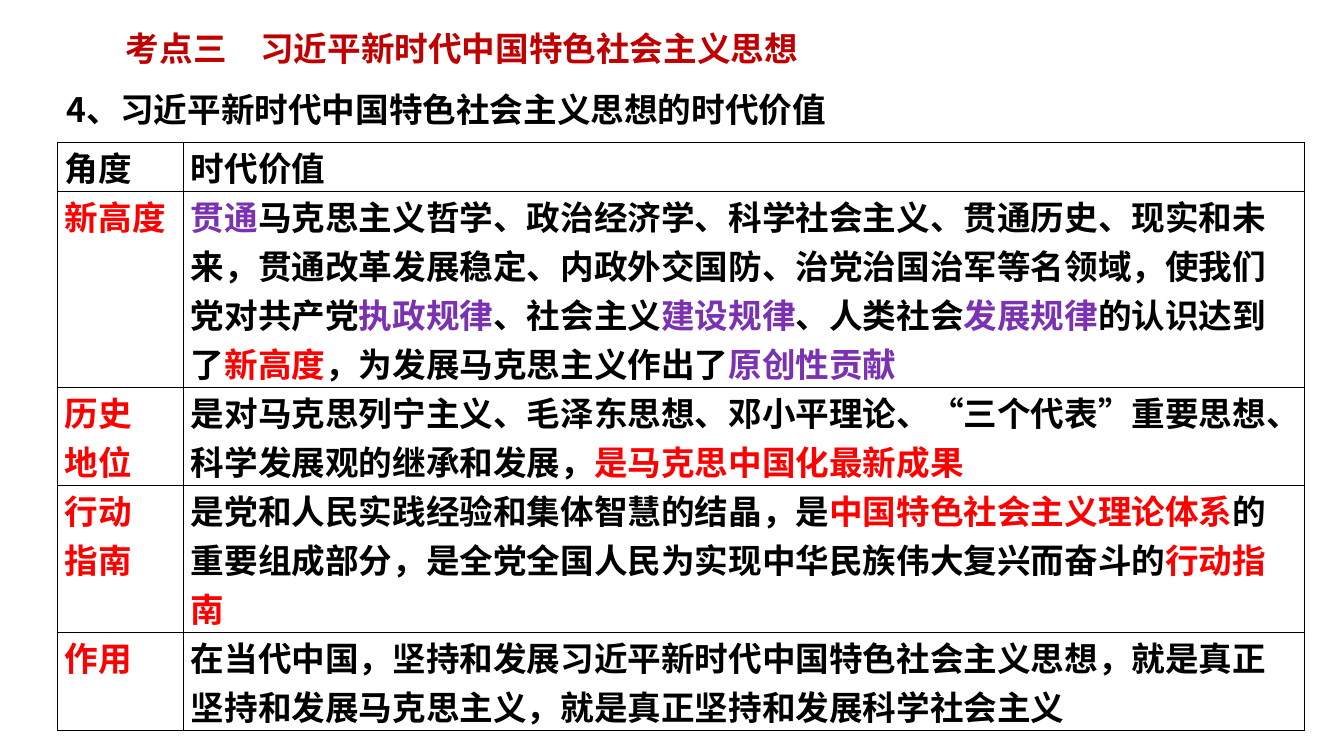
from lxml.etree import SubElement
from pptx import Presentation
from pptx.dml.color import RGBColor
from pptx.enum.lang import MSO_LANGUAGE_ID as Language
from pptx.oxml.ns import qn
from pptx.util import Emu, Pt

CJK_FONT = "Noto Sans CJK SC"
BLACK, RED, PURPLE, DARK_RED, BORDER = "000000", "FF0000", "7B32B2", "C00000", "080000"
LINE_HEIGHT = 49
COLUMN_WIDTHS = [126, 1122]

TITLE = "考点三　习近平新时代中国特色社会主义思想"
SUBTITLE = "4、习近平新时代中国特色社会主义思想的时代价值"

ROWS = [
    (1, ["角度"], BLACK, [("时代价值", BLACK)]),
    (4, ["新高度"], RED, [
        ("贯通", PURPLE),
        ("马克思主义哲学、政治经济学、科学社会主义、贯通历史、现实和未来，"
         "贯通改革发展稳定、内政外交国防、治党治国治军等名领域，使我们党对共产党", BLACK),
        ("执政规律", PURPLE),
        ("、社会主义", BLACK),
        ("建设规律", PURPLE),
        ("、人类社会", BLACK),
        ("发展规律", PURPLE),
        ("的认识达到了", BLACK),
        ("新高度", RED),
        ("，为发展马克思主义作出了", BLACK),
        ("原创性贡献", PURPLE),
    ]),
    (2, ["历史", "地位"], RED, [
        ("是对马克思列宁主义、毛泽东思想、邓小平理论、“三个代表”重要思想、"
         "科学发展观的继承和发展，", BLACK),
        ("是马克思中国化最新成果", RED),
    ]),
    (3, ["行动", "指南"], RED, [
        ("是党和人民实践经验和集体智慧的结晶，是", BLACK),
        ("中国特色社会主义理论体系", RED),
        ("的重要组成部分，是全党全国人民为实现中华民族伟大复兴而奋斗的", BLACK),
        ("行动指南", RED),
    ]),
    (2, ["作用"], RED, [
        ("在当代中国，坚持和发展习近平新时代中国特色社会主义思想，"
         "就是真正坚持和发展马克思主义，就是真正坚持和发展科学社会主义", BLACK),
    ]),
]


def px(length):
    """Convert slide pixels to EMU."""
    return Emu(round(length * 914400 / 100.8))


def color(value):
    """Turn a hex string into a colour."""
    return RGBColor.from_string(value)


def write_paragraph(paragraph, segments, spacing, latin=CJK_FONT):
    """Write bold runs, each with its own colour."""
    paragraph.line_spacing = spacing
    for text, run_color in segments:
        run = paragraph.add_run()
        run.text = text
        font = run.font
        font.size, font.bold, font.name = Pt(24), True, latin
        font.language_id = Language.SIMPLIFIED_CHINESE
        font.color.rgb = color(run_color)
        east_asian = SubElement(run._r.get_or_add_rPr(), qn("a:ea"))
        east_asian.set("typeface", CJK_FONT)


def add_heading(slide, box, text, text_color, latin=CJK_FONT):
    """Place a one-line heading in a box."""
    frame = slide.shapes.add_textbox(*map(px, box)).text_frame
    frame.word_wrap = True
    write_paragraph(frame.paragraphs[0], [(text, text_color)], 1.5, latin)


def add_borders(cell):
    """Draw a thin line on all four sides of a cell."""
    properties = cell._tc.get_or_add_tcPr()
    for side in ("a:lnL", "a:lnR", "a:lnT", "a:lnB"):
        line = SubElement(properties, qn(side), w=str(Pt(0.75)))
        fill = SubElement(line, qn("a:solidFill"))
        SubElement(fill, qn("a:srgbClr"), val=BORDER)


def fill_cell(cell, paragraphs):
    """Write the paragraphs of a cell and set its margins, lines and fill."""
    cell.margin_left = cell.margin_right = px(8)
    cell.margin_top = cell.margin_bottom = 0
    add_borders(cell)
    cell.fill.background()
    frame = cell.text_frame
    for index, segments in enumerate(paragraphs):
        paragraph = frame.add_paragraph() if index else frame.paragraphs[0]
        write_paragraph(paragraph, segments, Pt(35))


def add_value_table(slide, left, top):
    """Place the table of angles and their value."""
    height = LINE_HEIGHT * sum(row[0] for row in ROWS)
    box = (left, top, sum(COLUMN_WIDTHS), height)
    table = slide.shapes.add_table(len(ROWS), 2, *map(px, box)).table
    table.first_row = table.horz_banding = False
    for column, width in zip(table.columns, COLUMN_WIDTHS):
        column.width = px(width)
    for index, (lines, angle, angle_color, value) in enumerate(ROWS):
        table.rows[index].height = px(lines * LINE_HEIGHT)
        fill_cell(table.cell(index, 0), [[(text, angle_color)] for text in angle])
        fill_cell(table.cell(index, 1), [value])


def main():
    """Build and save the slide."""
    presentation = Presentation()
    presentation.slide_width, presentation.slide_height = px(1344), px(756)
    slide = presentation.slides.add_slide(presentation.slide_layouts[6])
    add_heading(slide, (116, 3, 1138, 72), TITLE, DARK_RED, "Arial")
    add_heading(slide, (57, 64, 1250, 72), SUBTITLE, BLACK)
    add_value_table(slide, 57, 142)
    presentation.save("out.pptx")


if __name__ == "__main__":
    main()
